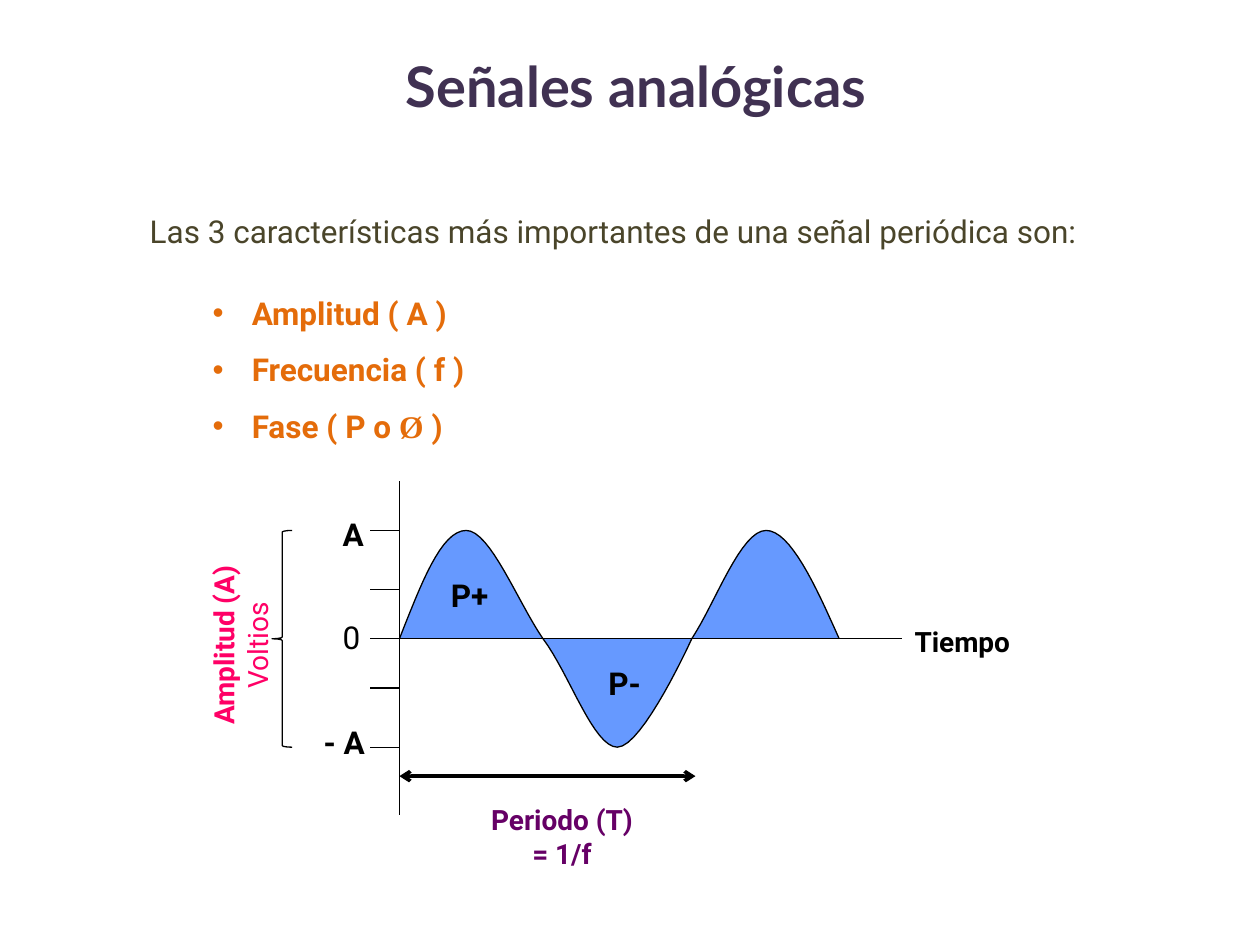
from itertools import pairwise
from lxml.etree import SubElement as Sub
from pptx import Presentation
from pptx.dml.color import RGBColor as Rgb
from pptx.enum.shapes import MSO_CONNECTOR as Conn, MSO_SHAPE as Kind
from pptx.enum.text import MSO_ANCHOR as Anchor, PP_ALIGN as Align
from pptx.oxml.ns import qn
from pptx.util import Inches, Pt


def tint(color, code):
    color.rgb = Rgb.from_string(code)


def style(font, size, code, bold=False, face="Roboto"):
    font.name, font.size, font.bold = face, Pt(size), bold
    tint(font.color, code)


def add_box(slide, box):
    shape = slide.shapes.add_textbox(*map(Inches, box))
    shape.text_frame.word_wrap = True
    return shape


def label(slide, box, text, size=18, code="000000", bold=True, align=Align.LEFT):
    shape = add_box(slide, box)
    para = shape.text_frame.paragraphs[0]
    para.text, para.alignment = text, align
    style(para.font, size, code, bold)
    return shape


def line(slide, start, end, width=0.75, arrows=False):
    rule = slide.shapes.add_connector(Conn.STRAIGHT, *map(Inches, start + end))
    rule.line.width = Pt(width)
    tint(rule.line.color, "000000")
    props = rule._element.spPr
    if arrows:
        for tag in ("a:headEnd", "a:tailEnd"):
            Sub(props.find(qn("a:ln")), qn(tag), type="arrow")
    Sub(props, qn("a:effectLst"))


def paint(shape, fill):
    shape.shadow.inherit = False
    shape.fill.solid()
    tint(shape.fill.fore_color, fill)
    tint(shape.line.color, "000000")
    shape.line.width = Pt(0.75)


def add_title(slide, box):
    frame = add_box(slide, box).text_frame
    frame.vertical_anchor = Anchor.MIDDLE
    para = frame.paragraphs[0]
    para.text, para.alignment = "Señales analógicas", Align.CENTER
    style(para.font, 32, "403152", True, "Lato")


def indent(para, left, hang, bullet=None):
    props = para._p.get_or_add_pPr()
    props.set("marL", str(Inches(left)))
    props.set("indent", str(Inches(-hang)))
    if bullet:
        Sub(props, qn("a:buFont"), typeface="Arial")
        Sub(props, qn("a:buChar"), char=bullet)


def add_body(slide, box):
    frame = add_box(slide, box).text_frame
    intro = frame.paragraphs[0]
    intro.text = "Las 3 características más importantes de una señal periódica son:"
    intro.line_spacing = 1.5
    indent(intro, 0.38, 0.38)
    style(intro.font, 18, "4A452A")
    # Bulleted traits; the symbol has its own face
    traits = [["Amplitud ( A )"], ["Frecuencia ( f )"], ["Fase ( P o ", "Ø", " )"]]
    for i, parts in enumerate(traits):
        para = frame.add_paragraph()
        para.level, para.line_spacing = 1, 1.5
        para.space_before = Pt(0 if i else 14.5)
        indent(para, 0.81, 0.31, "•")
        for part in parts:
            run = para.add_run()
            run.text = part
            style(run.font, 18, "E46C0A", True,
                  "Times New Roman" if part == "Ø" else "Roboto")


def bezier(a, b, c, d, t):
    u = 1 - t
    return tuple(u**3 * p + 3 * u * u * t * q + 3 * u * t * t * r + t**3 * s
                 for p, q, r, s in zip(a, b, c, d))


def add_wave(slide, left, top, high):
    mid, low = high / 2, high
    # Each knot: point, handle before it, handle after it
    knots = [
        ((0, mid), None, (0.17, 0.43)),
        ((0.53, 0), (0.33, 0), (0.72, 0)),
        ((1.14, mid), (0.94, 0.57), (1.35, 1.14)),
        ((1.73, low), (1.54, low), (1.93, low)),
        ((2.32, mid), (2.32, mid), (2.51, 0.57)),
        ((2.91, 0), (2.71, 0), (3.1, 0)),
        ((3.49, mid), (3.3, 0.43), None),
    ]
    steps = 16
    dots = [bezier(p[0], p[2], q[1], q[0], i / steps)
            for p, q in pairwise(knots) for i in range(1, steps + 1)]
    path = slide.shapes.build_freeform(0, Inches(mid))
    path.add_line_segments([(Inches(x), Inches(y)) for x, y in dots], close=False)
    paint(path.convert_to_shape(Inches(left), Inches(top)), "6699FF")


def add_graph(slide, box):
    left, top, wide, tall = box
    axis, peak, high = left + 2.08, top + 0.39, 1.72
    zero, base = peak + high / 2, peak + high
    tick, right = axis - 0.23, left + wide

    add_wave(slide, axis, peak, high)

    # Axes and ticks
    line(slide, (axis, top), (axis, top + tall))
    line(slide, (tick, zero), (right, zero))
    for y in (peak, zero - 0.39, zero + 0.39, base):
        line(slide, (tick, y), (axis, y))

    # Amplitude scale
    side = label(slide, (left, zero - 0.27, 1.64, 0.64), "Amplitud (A) ",
                 16, "FF0066", None, Align.CENTER)
    side.rotation = 270
    para = side.text_frame.paragraphs[0]
    para.runs[0].font.bold = True
    unit = para.add_run()
    unit.text, unit.font.bold = "Voltios", False
    brace = slide.shapes.add_shape(
        Kind.LEFT_BRACE, *map(Inches, (left + 1.07, peak, 0.16, high)))
    brace.adjustments[0] = 0.08
    paint(brace, "FFFFFF")
    label(slide, (left + 1.53, peak - 0.17, 0.39, 0.4), "A")
    label(slide, (left + 1.53, zero - 0.21, 0.39, 0.4), "0", bold=False)
    label(slide, (left + 1.38, base - 0.24, 0.62, 0.4), "- A")

    # Half waves and time
    label(slide, (axis + 0.31, zero - 0.55, 0.55, 0.4), "P+")
    label(slide, (axis + 1.56, zero + 0.15, 0.55, 0.4), "P-")
    label(slide, (right, zero - 0.16, 1.09, 0.37), "Tiempo", 16)

    # Period
    span = base + 0.23
    line(slide, (axis, span), (axis + 2.35, span), 2, True)
    label(slide, (axis + 0.55, span + 0.16, 1.48, 0.64), "Periodo (T) = 1/f",
          16, "660066", align=Align.CENTER)


def main():
    deck = Presentation()
    deck.slide_width, deck.slide_height = Inches(10), Inches(7.5)
    slide = deck.slides.add_slide(deck.slide_layouts[6])
    add_title(slide, (0.15, 0.05, 9.8, 1.25))
    add_body(slide, (1.09, 1.48, 7.66, 2.27))
    add_graph(slide, (1.09, 3.82, 6.07, 2.65))
    deck.save("out.pptx")


if __name__ == "__main__":
    main()
